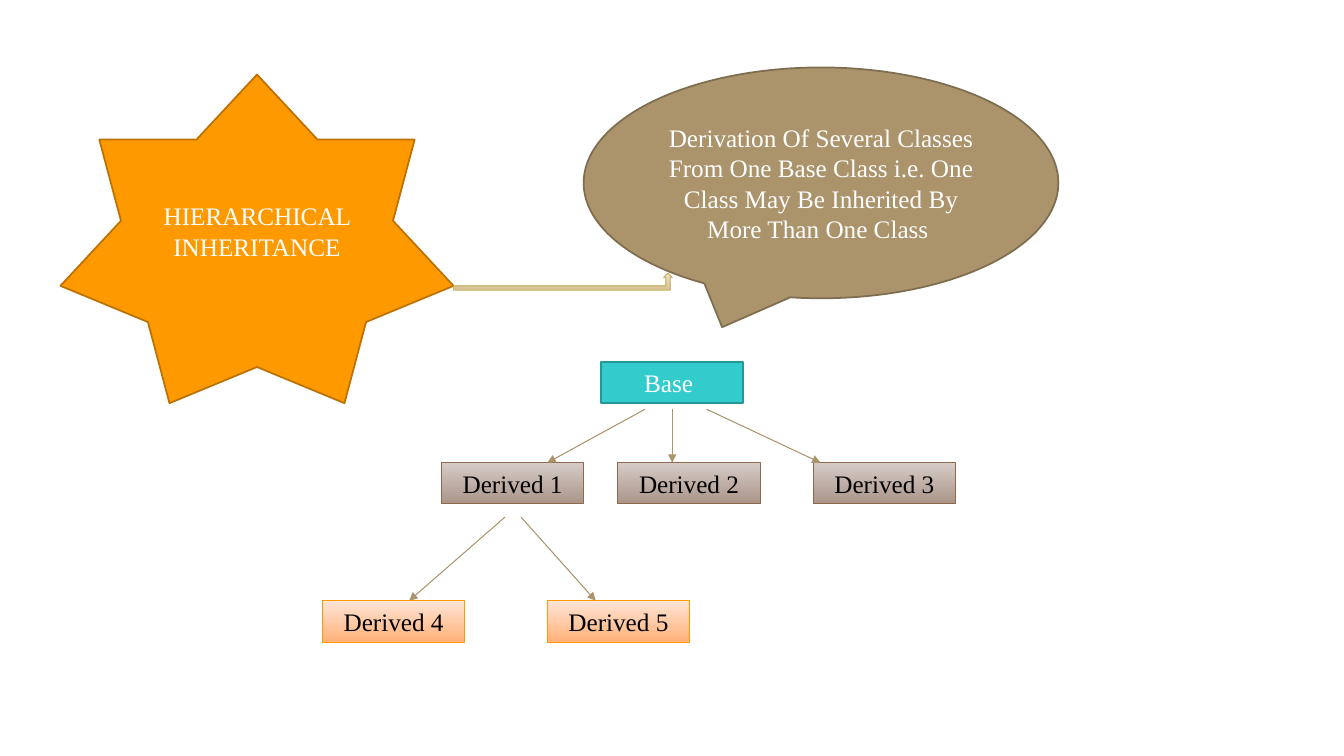
from dataclasses import dataclass

from lxml import etree
from pptx import Presentation
from pptx.dml.color import RGBColor
from pptx.enum import shapes, text
from pptx.oxml import ns
from pptx.util import Pt

# Content: text and box (left, top, width, height) in points
TITLE = ("HIERARCHICAL INHERITANCE", (43.2, 53.3, 280.8, 234.7))
DEFINITION = (
    "Derivation Of Several Classes From One Base Class i.e. One Class "
    "May Be Inherited By More Than One Class ",
    (416.9, 48.2, 339.1, 164.9),
)
TITLE_ARROW = (324, 195.1, 156.2, 12.2)

# Class tree: one level is (top, look, [(name, left), ...])
LEVELS = [
    (258.5, "base", [("Base ", 429.1)]),
    (330.5, "derived", [("Derived 1", 315.4), ("Derived 2", 441.4), ("Derived 3", 581)]),
    (429.1, "leaf", [("Derived 4", 230.4), ("Derived 5", 391)]),
]
CLASS_SIZE = (101.5, 29.5)

# Arrows into each level: (start height, end height, [(start x, end x), ...])
BRANCHES = [
    (292.3, LEVELS[1][0], [(460.8, 391), (480.2, 480.2), (504.7, 586.1)]),
    (369.4, LEVELS[2][0], [(360.7, 292.3), (372.2, 425.5)]),
]


@dataclass(frozen=True)
class Look:
    fills: tuple  # one colour is solid, two are a downward gradient
    line: str
    line_width: float
    ink: str = "FFFFFF"


THEME = {
    "font": "Times New Roman",
    "size": 18,
    "branch": ("AB946B", 0.75),
    "title": Look(("FF9900",), "BD7100", 1.25),
    "title_arrow": Look(("EEE5D4", "D6C191"), "CBAF62", 0.75),
    "definition": Look(("AB946B",), "7F6D4F", 1.25),
    "base": Look(("33CCCC",), "269797", 1.25),
    "derived": Look(("D6CCC7", "AA9487"), "8E684C", 0.75, "000000"),
    "leaf": Look(("FFE5D6", "FFB179"), "FF9900", 0.75, "000000"),
}


def rgb(value):
    return RGBColor.from_string(value)


def set_line(line, colour, width):
    line.color.rgb = rgb(colour)
    line.width = Pt(width)


def add_figure(page, kind, bounds, look, words=""):
    box = page.shapes.add_shape(kind, *map(Pt, bounds))
    box.shadow.inherit = False
    set_line(box.line, look.line, look.line_width)
    if len(look.fills) == 1:
        box.fill.solid()
        box.fill.fore_color.rgb = rgb(look.fills[0])
    else:
        box.fill.gradient()
        box.fill.gradient_angle = 270
        for stop, colour in zip(box.fill.gradient_stops, look.fills):
            stop.color.rgb = rgb(colour)
    if words:
        frame = box.text_frame
        frame.word_wrap = True
        frame.vertical_anchor = text.MSO_ANCHOR.MIDDLE
        para = frame.paragraphs[0]
        para.text = words
        para.alignment = text.PP_ALIGN.CENTER
        para.font.name = THEME["font"]
        para.font.size = Pt(THEME["size"])
        para.font.color.rgb = rgb(look.ink)


def add_branch(page, start, end):
    branch = page.shapes.add_connector(
        shapes.MSO_CONNECTOR.STRAIGHT, *map(Pt, (*start, *end))
    )
    set_line(branch.line, *THEME["branch"])
    # Arrowhead at the end, no shadow
    etree.SubElement(branch.line._get_or_add_ln(), ns.qn("a:tailEnd"), type="triangle")
    etree.SubElement(branch._element.spPr, ns.qn("a:effectLst"))


def main():
    deck = Presentation()
    deck.slide_width, deck.slide_height = Pt(960), Pt(540)
    page = deck.slides.add_slide(deck.slide_layouts[6])
    kinds = shapes.MSO_SHAPE

    # Title star pointing to its definition
    add_figure(page, kinds.STAR_7_POINT, TITLE[1], THEME["title"], TITLE[0])
    add_figure(page, kinds.BENT_UP_ARROW, TITLE_ARROW, THEME["title_arrow"])
    add_figure(page, kinds.OVAL_CALLOUT, DEFINITION[1], THEME["definition"], DEFINITION[0])

    # Class tree
    for top, look, classes in LEVELS:
        for name, left in classes:
            add_figure(page, kinds.RECTANGLE, (left, top, *CLASS_SIZE), THEME[look], name)

    # Inheritance arrows
    for start_y, end_y, spans in BRANCHES:
        for start_x, end_x in spans:
            add_branch(page, (start_x, start_y), (end_x, end_y))

    deck.save("out.pptx")


if __name__ == "__main__":
    main()
